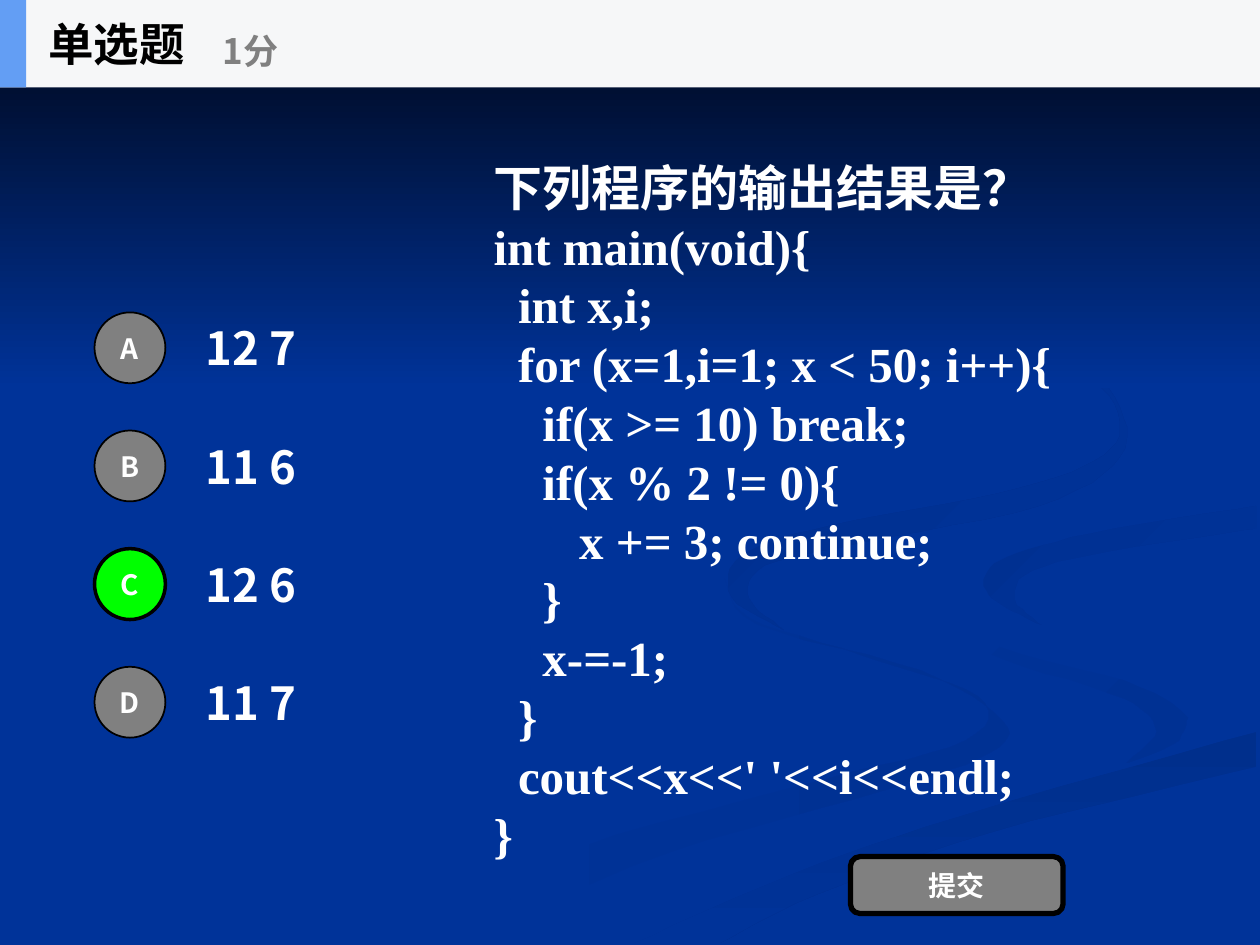
from dataclasses import dataclass

from lxml import etree
from pptx import Presentation
from pptx.dml.color import RGBColor
from pptx.enum import shapes as kinds, text as place
from pptx.oxml import ns
from pptx.util import Pt

SANS, SERIF = "Noto Sans CJK SC", "Times New Roman"
BLUE, GREY, WHITE, BLACK, GREEN = "003399", "808080", "FFFFFF", "000000", "00FF00"
STEPS = 6  # straight pieces between two knots of a ribbon edge

CODE = """下列程序的输出结果是？
int main(void){
  int x,i;
  for (x=1,i=1; x < 50; i++){
    if(x >= 10) break;
    if(x % 2 != 0){
       x += 3; continue;
    }
    x-=-1;
  }
  cout<<x<<' '<<i<<endl;
}"""

Knot = tuple[float, float]


@dataclass
class Box:
    left: float
    top: float
    width: float
    height: float


@dataclass
class Ribbon:
    """A band between two curved edges, the second drawn backwards."""
    start: str
    end: str
    angle: int
    out: list[Knot]
    back: list[Knot]


@dataclass
class Choice:
    mark: str
    answer: str
    fill: str = GREY
    line: float = 1


RIBBONS = [
    Ribbon(BLUE, "003193", 0,
           [(414, 330), (428, 353), (491, 374), (559, 398), (552, 423),
            (469, 446), (330, 485), (216, 539)],
           [(260, 539), (383, 487), (504, 452), (566, 430), (573, 412),
            (526, 383), (433, 357), (414, 330)]),
    Ribbon(BLUE, "003193", 45,
           [(521, 334), (537, 356), (584, 374), (652, 392), (679, 410)],
           [(679, 410), (671, 425), (644, 436), (661, 418), (642, 399),
            (574, 377), (526, 350), (521, 334)]),
    Ribbon("002F8C", BLUE, 90,
           [(362, 539), (454, 499), (550, 466), (718, 418)],
           [(718, 438), (565, 476), (467, 511), (411, 539)]),
    Ribbon(BLUE, BLUE, 0,
           [(522, 334), (536, 353), (627, 382), (679, 410), (656, 432),
            (535, 463), (412, 506), (343, 539)],
           [(362, 539), (454, 499), (550, 466), (719, 418)]),
    Ribbon("003091", BLUE, 45,
           [(718, 289), (623, 305), (576, 318), (562, 331), (570, 344), (595, 357)],
           [(595, 357), (580, 343), (590, 326), (645, 313), (718, 302)]),
    Ribbon("002F8E", BLUE, 45,
           [(549, 168), (617, 209), (640, 241), (626, 263), (570, 282),
            (476, 300), (424, 317), (418, 341), (448, 360)],
           [(448, 360), (428, 342), (437, 323), (492, 310), (594, 289),
            (640, 261), (637, 227), (602, 193), (549, 168)]),
]

CHOICES = [Choice("A", "12 7"), Choice("B", "11 6"),
           Choice("C", "12 6", GREEN, 2), Choice("D", "11 7")]


def tint(code: str) -> RGBColor:
    return RGBColor.from_string(code)


def write(shape, words: str, size: float, color: str = WHITE, face: str = SANS,
          align=place.PP_ALIGN.LEFT, pitch: float | None = None) -> None:
    """Fill a shape with bold text, one paragraph a line."""
    frame = shape.text_frame
    frame.text = words
    frame.word_wrap = True
    frame.vertical_anchor = place.MSO_ANCHOR.MIDDLE
    for para in frame.paragraphs:
        para.alignment = align
        if pitch:
            para.line_spacing = Pt(pitch)
        for run in para.runs:
            font = run.font
            font.size, font.bold, font.name = Pt(size), True, face
            font.color.rgb = tint(color)
            props = run._r.get_or_add_rPr()
            etree.SubElement(props, ns.qn("a:ea"), typeface=SANS)


def span(box: Box) -> list[Pt]:
    return [Pt(n) for n in (box.left, box.top, box.width, box.height)]


def label(slide, box: Box, words: str, size: float, **style) -> None:
    write(slide.shapes.add_textbox(*span(box)), words, size, **style)


def block(slide, kind, box: Box, fill: str, line: float = 0, words: str = ""):
    shape = slide.shapes.add_shape(kind, *span(box))
    shape.shadow.inherit = False
    shape.fill.solid()
    shape.fill.fore_color.rgb = tint(fill)
    if line:
        shape.line.color.rgb = tint(BLACK)
        shape.line.width = Pt(line)
    else:
        shape.line.fill.background()
    if words:
        write(shape, words, 16, align=place.PP_ALIGN.CENTER)
        frame = shape.text_frame
        frame.margin_left = frame.margin_right = Pt(0)
    return shape


def blend(shape, start: str, end: str, angle: int) -> None:
    """Give a shape a two-colour gradient, its angle clockwise."""
    shape.fill.gradient()
    shape.fill.gradient_angle = -angle % 360
    for stop, color in zip(shape.fill.gradient_stops, (start, end)):
        stop.color.rgb = tint(color)


def curve(knots: list[Knot]) -> list[Knot]:
    """Run a Catmull-Rom spline through the knots."""
    ends = [knots[0], *knots, knots[-1]]
    dots = [knots[0]]
    for quad in zip(ends, ends[1:], ends[2:], ends[3:]):
        for step in range(1, STEPS + 1):
            t = step / STEPS
            x, y = (b + t * (c - a) / 2 + t**2 * (2*a - 5*b + 4*c - d) / 2
                    + t**3 * (3*b - a - 3*c + d) / 2 for a, b, c, d in zip(*quad))
            dots.append((x, y))
    return dots


def sweep(slide, ribbon: Ribbon) -> None:
    first, *rest = curve(ribbon.out) + curve(ribbon.back)
    pen = slide.shapes.build_freeform(*first, scale=Pt(1))
    pen.add_line_segments(rest, close=True)
    shape = pen.convert_to_shape()
    shape.shadow.inherit = False
    shape.line.fill.background()
    blend(shape, ribbon.start, ribbon.end, ribbon.angle)


def main() -> None:
    deck = Presentation()
    deck.slide_width, deck.slide_height = Pt(720), Pt(540)
    slide = deck.slides.add_slide(deck.slide_layouts[6])
    slide.background.fill.solid()
    slide.background.fill.fore_color.rgb = tint(BLUE)
    kind = kinds.MSO_SHAPE
    for ribbon in RIBBONS:
        sweep(slide, ribbon)
    shade = block(slide, kind.RECTANGLE, Box(0, 0, 720, 222), BLUE)
    blend(shade, "000514", BLUE, 90)

    label(slide, Box(275, 72, 366, 439), CODE, 28, face=SERIF, pitch=33.6)

    for row, choice in enumerate(CHOICES):
        top = 173.5 + 67.5 * row
        label(slide, Box(110.6, top, 103, 50.5), choice.answer, 26)
        block(slide, kind.OVAL, Box(54, top + 5, 40.5, 40.5),
              choice.fill, choice.line, choice.mark)
    block(slide, kind.ROUNDED_RECTANGLE, Box(486, 489.5, 121.5, 32.5), GREY, 3, "提交")

    block(slide, kind.RECTANGLE, Box(0, 0, 720, 50), "F6F7F8")
    block(slide, kind.RECTANGLE, Box(0, 0, 15, 50), "639EF4")
    label(slide, Box(20.5, 0, 150, 50), "单选题", 26, color=BLACK)
    label(slide, Box(120, 8.6, 180, 40.5), "1分", 20, color=GREY)
    deck.save("out.pptx")


if __name__ == "__main__":
    main()
